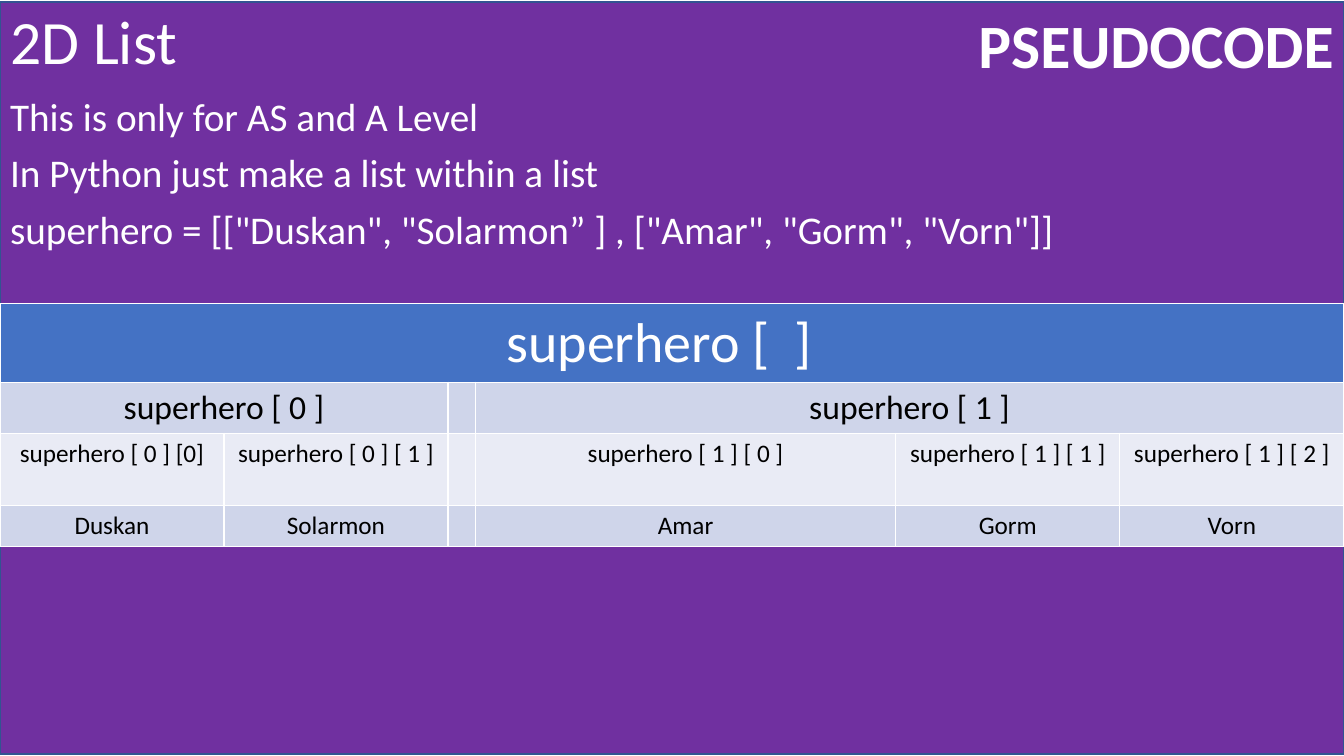
from lxml import etree
from pptx import Presentation
from pptx.dml.color import RGBColor
from pptx.enum.shapes import MSO_SHAPE
from pptx.enum.text import MSO_ANCHOR, MSO_AUTO_SIZE, PP_ALIGN
from pptx.oxml.ns import qn
from pptx.util import Pt

RECTANGLE = MSO_SHAPE.RECTANGLE
TOP, MIDDLE = MSO_ANCHOR.TOP, MSO_ANCHOR.MIDDLE
NO_FIT = MSO_AUTO_SIZE.NONE
LEFT, CENTER, RIGHT = PP_ALIGN.LEFT, PP_ALIGN.CENTER, PP_ALIGN.RIGHT

WIDTH, HEIGHT = 960, 540
FONT = "Calibri"
PURPLE, NAVY, BLUE = "7030A0", "325491", "4472C4"
WHITE, BLACK, DARK_BAND, LIGHT_BAND = "FFFFFF", "000000", "CFD5EA", "E9EBF5"

TITLE = "2D List "
LABEL = "PSEUDOCODE"
NOTES = [
    "This is only for AS and A Level",
    "In Python just make a list within a list",
    'superhero = [["Duskan", "Solarmon” ] , ["Amar", "Gorm", "Vorn"]]',
]
COLUMN_WIDTHS = [160, 160, 19.5, 300.5, 160, 160]
TABLE_ROWS = [
    {"height": 56, "size": 40, "ink": WHITE, "fill": BLUE,
     "cells": {0: ("superhero [  ]  ", 6)}},
    {"height": 36.4, "size": 24, "ink": BLACK, "fill": DARK_BAND,
     "cells": {0: ("superhero [ 0 ]", 2), 3: ("superhero [ 1 ]", 3)}},
    {"height": 51.4, "size": 18, "ink": BLACK, "fill": LIGHT_BAND,
     "cells": {0: ("superhero [ 0 ] [0]", 1), 1: ("superhero [ 0 ] [ 1 ]", 1),
               3: ("superhero [ 1 ] [ 0 ]", 1), 4: ("superhero [ 1 ] [ 1 ]", 1),
               5: ("superhero [ 1 ] [ 2 ]", 1)}},
    {"height": 29, "size": 18, "ink": BLACK, "fill": DARK_BAND,
     "cells": {0: ("Duskan", 1), 1: ("Solarmon", 1), 3: ("Amar", 1),
               4: ("Gorm", 1), 5: ("Vorn", 1)}},
]


def color(code):
    return RGBColor.from_string(code)


def place(shape, left, top, width, height):
    shape.left, shape.top = Pt(left), Pt(top)
    shape.width, shape.height = Pt(width), Pt(height)


def style_text(frame, size, ink, align, bold=False):
    for para in frame.paragraphs:
        para.alignment = align
        for span in para.runs:
            span.font.name = FONT
            span.font.size = Pt(size)
            span.font.bold = bold
            span.font.color.rgb = color(ink)


def fill_frame(shape, text, size, align, anchor, bold=False):
    frame = shape.text_frame
    frame.text = text
    frame.word_wrap = True
    frame.auto_size = NO_FIT
    frame.vertical_anchor = anchor
    style_text(frame, size, WHITE, align, bold)
    return frame


def add_borders(cell):
    properties = cell._tc.get_or_add_tcPr()
    for position, side in enumerate(("a:lnL", "a:lnR", "a:lnT", "a:lnB")):
        line = etree.Element(qn(side), w=str(Pt(1)))
        fill = etree.SubElement(line, qn("a:solidFill"))
        etree.SubElement(fill, qn("a:srgbClr"), val=WHITE)
        properties.insert(position, line)


deck = Presentation()
deck.slide_width, deck.slide_height = Pt(WIDTH), Pt(HEIGHT)
page = deck.slides.add_slide(deck.slide_layouts[1])
title, body = page.placeholders

backdrop = page.shapes.add_shape(RECTANGLE, 0, Pt(1.5), Pt(WIDTH), Pt(537))
backdrop.shadow.inherit = False
backdrop.fill.solid()
backdrop.fill.fore_color.rgb = color(PURPLE)
backdrop.line.color.rgb = color(NAVY)
backdrop.line.width = Pt(1)

label = page.shapes.add_textbox(Pt(628.6), Pt(1.5), Pt(331.4), Pt(60.5))
fill_frame(label, LABEL, 44, RIGHT, TOP, bold=True)
for shape in (backdrop, label):
    title._element.addprevious(shape._element)

place(title, 0, 1.5, WIDTH, 60.5)
for para in fill_frame(title, TITLE, 44, LEFT, MIDDLE).paragraphs:
    para.line_spacing = 0.9

place(body, 0, 66.2, WIDTH, 472.3)
for para in fill_frame(body, "\n".join(NOTES), 28, LEFT, TOP).paragraphs:
    para.line_spacing = 0.9
    para.space_before = Pt(10)
    properties = para._p.get_or_add_pPr()
    properties.set("marL", "0")
    properties.set("indent", "0")
    etree.SubElement(properties, qn("a:buNone"))

table_height = sum(row["height"] for row in TABLE_ROWS)
table = page.shapes.add_table(
    len(TABLE_ROWS), len(COLUMN_WIDTHS), 0, Pt(217), Pt(WIDTH), Pt(table_height)
).table
for column, width in zip(table.columns, COLUMN_WIDTHS):
    column.width = Pt(width)
for row_index, row in enumerate(TABLE_ROWS):
    table.rows[row_index].height = Pt(row["height"])
    for column_index in range(len(COLUMN_WIDTHS)):
        cell = table.cell(row_index, column_index)
        cell.fill.solid()
        cell.fill.fore_color.rgb = color(row["fill"])
        add_borders(cell)
    for column_index, (text, span_count) in row["cells"].items():
        cell = table.cell(row_index, column_index)
        if span_count > 1:
            cell.merge(table.cell(row_index, column_index + span_count - 1))
        cell.text_frame.text = text
        style_text(cell.text_frame, row["size"], row["ink"], CENTER)

deck.save("out.pptx")
